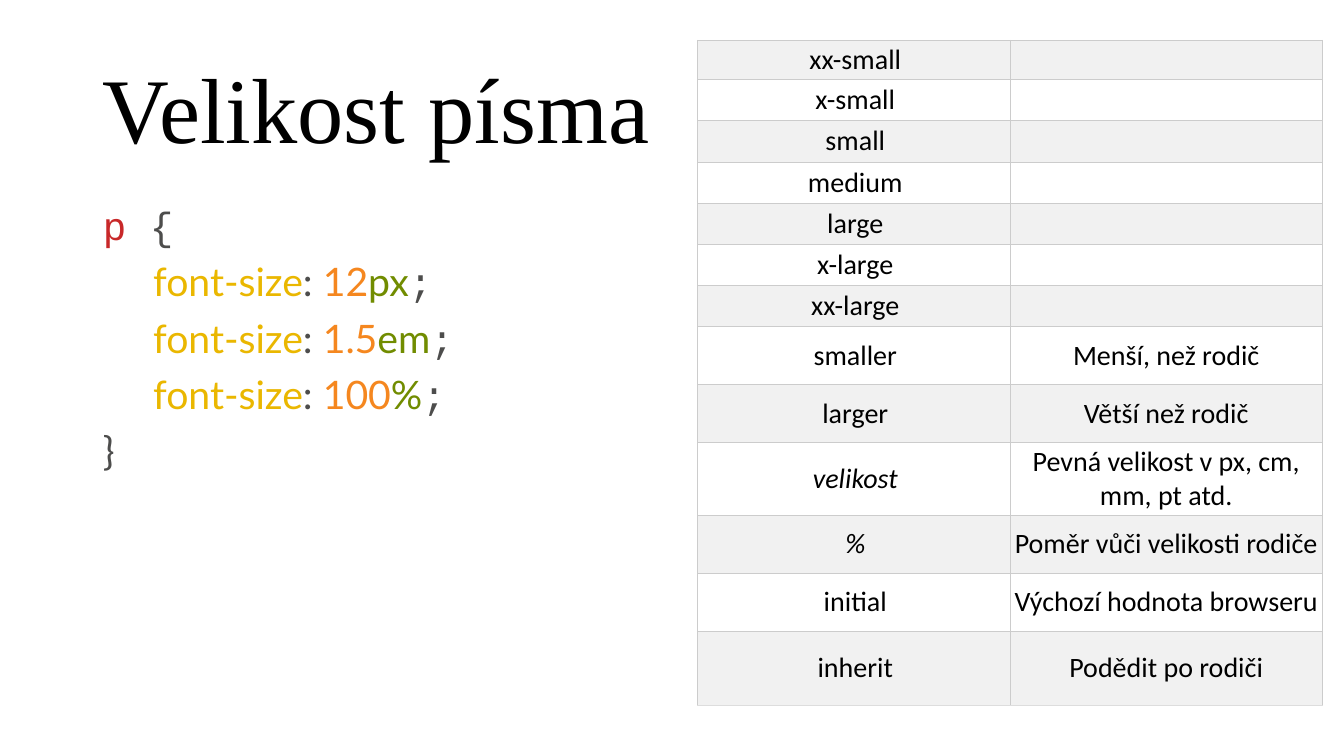
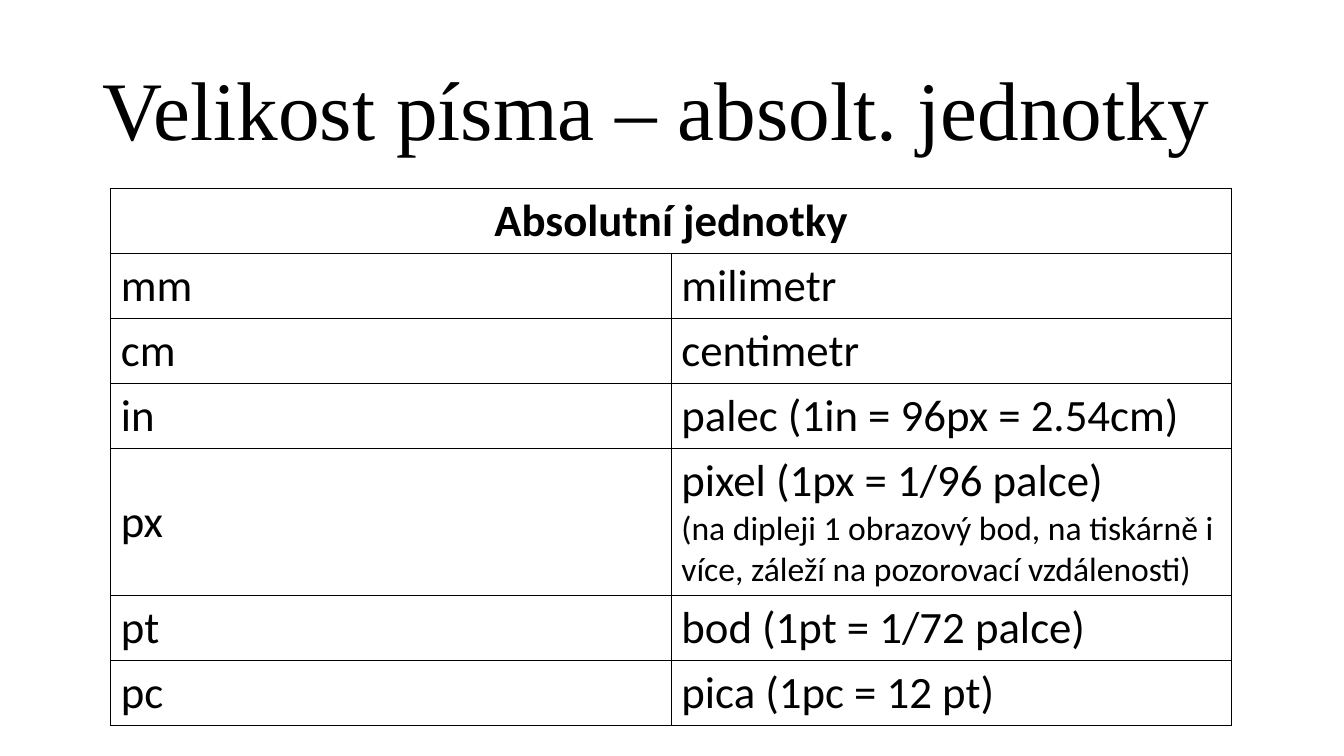
"""Build two slides on CSS font sizes and absolute units."""
from lxml import etree
from pptx import Presentation
from pptx.dml.color import RGBColor
from pptx.enum.text import MSO_ANCHOR, MSO_AUTO_SIZE, PP_ALIGN
from pptx.oxml.ns import qn
from pptx.util import Inches, Pt

LEFT, CENTER = PP_ALIGN.LEFT, PP_ALIGN.CENTER
MIDDLE = MSO_ANCHOR.MIDDLE
NO_FIT = MSO_AUTO_SIZE.NONE

BLACK = RGBColor(0x00, 0x00, 0x00)
WHITE = RGBColor(0xFF, 0xFF, 0xFF)
STRIPE = RGBColor(0xF1, 0xF1, 0xF1)
GRID = RGBColor(0xCC, 0xCC, 0xCC)
GRID_FOOT = RGBColor(0xDD, 0xDD, 0xDD)
RED = RGBColor(0xC8, 0x28, 0x29)
GRAY = RGBColor(0x4D, 0x4D, 0x4C)
YELLOW = RGBColor(0xEA, 0xB7, 0x00)
ORANGE = RGBColor(0xF5, 0x87, 0x1F)
GREEN = RGBColor(0x71, 0x8C, 0x00)

TITLE_FONT, TABLE_FONT = "Times New Roman", "Calibri"
CODE_FONT, VALUE_FONT = "Courier New", "Lato"
TITLE_LAYOUT, CONTENT_LAYOUT = 5, 1

KEYWORDS = ["xx-small", "x-small", "small", "medium", "large", "x-large", "xx-large"]
RELATIVE = [
    ("smaller", "Menší, než rodič"),
    ("larger", "Větší než rodič"),
    ("velikost", "Pevná velikost v px, cm, mm, pt atd."),
    ("%", "Poměr vůči velikosti rodiče"),
    ("initial", "Výchozí hodnota browseru"),
    ("inherit", "Podědit po rodiči"),
]
UNITS = [
    ("Absolutní jednotky", None),
    ("mm", "milimetr"),
    ("cm", "centimetr"),
    ("in", "palec (1in = 96px = 2.54cm)"),
    ("px", "pixel (1px = 1/96 palce)"),
    ("pt", "bod (1pt = 1/72 palce)"),
    ("pc", "pica (1pc = 12 pt)"),
]
PIXEL_NOTE = "(na dipleji 1 obrazový bod, na tiskárně i více, záleží na pozorovací vzdálenosti)"


def write(paragraph, text, font=TABLE_FONT, size=20, color=BLACK, bold=False, italic=False):
    """Add one formatted span of text to a paragraph."""
    span = paragraph.add_run()
    span.text = text
    span.font.name = font
    span.font.size = Pt(size)
    span.font.color.rgb = color
    span.font.bold = bold
    span.font.italic = italic


def draw_border(cell, color, width, foot):
    """Draw the four sides of a cell, the bottom one in the foot colour."""
    properties = cell._tc.get_or_add_tcPr()
    for side in ("lnL", "lnR", "lnT", "lnB"):
        line = etree.SubElement(properties, qn("a:" + side), w=str(Pt(width)))
        fill = etree.SubElement(line, qn("a:solidFill"))
        shade = foot if side == "lnB" else color
        etree.SubElement(fill, qn("a:srgbClr"), val=str(shade))


class Slides:
    """Hold the shared style, the deck and the current page."""

    def __init__(self):
        """Start an empty widescreen deck."""
        self.deck = Presentation()
        self.deck.slide_width = Inches(13.33)
        self.deck.slide_height = Inches(7.5)
        self.page = None

    def across(self, percent):
        """Turn a percentage of the slide width into a length."""
        return round(self.deck.slide_width * percent / 100)

    def down(self, percent):
        """Turn a percentage of the slide height into a length."""
        return round(self.deck.slide_height * percent / 100)

    def place(self, box, left, top, width, height):
        """Move a placeholder to shares of the slide."""
        box.left, box.top = self.across(left), self.down(top)
        box.width, box.height = self.across(width), self.down(height)
        box.text_frame.word_wrap = True
        box.text_frame.auto_size = NO_FIT

    def add_page(self, title, size, layout):
        """Add a page with its title."""
        self.page = self.deck.slides.add_slide(self.deck.slide_layouts[layout])
        box = self.page.shapes.title
        self.place(box, 6.9, 5.33, 86.25, 19.33)
        box.text_frame.vertical_anchor = MIDDLE
        paragraph = box.text_frame.paragraphs[0]
        paragraph.alignment = LEFT
        paragraph.line_spacing = 0.9
        write(paragraph, title, font=TITLE_FONT, size=size)

    def add_code(self, lines):
        """Fill the body placeholder with lines of coloured code."""
        box = self.page.placeholders[1]
        self.place(box, 6.9, 26.67, 86.25, 63.47)
        frame = box.text_frame
        for index, spans in enumerate(lines):
            paragraph = frame.add_paragraph() if index else frame.paragraphs[0]
            properties = paragraph._p.get_or_add_pPr()
            properties.set("marL", "0")
            properties.set("indent", "0")
            etree.SubElement(properties, qn("a:buNone"))
            paragraph.line_spacing = 0.9
            paragraph.space_before = Pt(10 if index else 0)
            for text, font, color in spans:
                write(paragraph, text, font=font, size=28, color=color)

    def add_table(self, left, top, width, heights):
        """Add a plain table of two equal columns."""
        frame = self.page.shapes.add_table(
            len(heights), 2, self.across(left), self.down(top),
            self.across(width), self.down(sum(heights)))
        table = frame.table
        table.first_row = table.horz_banding = False
        for row, height in zip(table.rows, heights):
            row.height = self.down(height)
        return table

    def fill_cell(self, cell, text, align, fill=None, border=BLACK, width=1, foot=None, **style):
        """Format a cell and write its text."""
        draw_border(cell, border, width, foot or border)
        if fill is None:
            cell.fill.background()
        else:
            cell.fill.solid()
            cell.fill.fore_color.rgb = fill
        cell.vertical_anchor = MIDDLE
        paragraph = cell.text_frame.paragraphs[0]
        paragraph.alignment = align
        if text:
            write(paragraph, text, **style)


def add_sizes(slides):
    """Build the page of font size values."""
    slides.add_page("Velikost písma", 66, CONTENT_LAYOUT)
    rules = [
        [("\t", CODE_FONT, GRAY), ("font-size", VALUE_FONT, YELLOW), (": ", VALUE_FONT, GRAY),
         (number, VALUE_FONT, ORANGE), (unit, VALUE_FONT, GREEN), (";", CODE_FONT, GRAY)]
        for number, unit in (("12", "px"), ("1.5", "em"), ("100", "%"))
    ]
    opening = [("p", CODE_FONT, RED), (" {", CODE_FONT, GRAY)]
    slides.add_code([opening, *rules, [("}", VALUE_FONT, GRAY)]])

    rows = [(keyword, "") for keyword in KEYWORDS] + RELATIVE
    heights = [5.2] + [5.45] * 6 + [7.65, 7.65, 9.65, 7.65, 7.65, 9.9]
    table = slides.add_table(51.9, 5.33, 46.5, heights)
    for index, row in enumerate(rows):
        for column, text in enumerate(row):
            cell = table.cell(index, column)
            cell.margin_left = Inches(0.02 if column else 0.05)
            cell.margin_top = cell.margin_right = cell.margin_bottom = Inches(0.02)
            slides.fill_cell(
                cell, text, CENTER, fill=WHITE if index % 2 else STRIPE,
                border=GRID, width=0.6,
                foot=GRID_FOOT if index == len(rows) - 1 else GRID,
                italic=text in ("velikost", "%"))


def add_units(slides):
    """Build the page of absolute units."""
    slides.add_page("Velikost písma – absolt. jednotky", 59.4, TITLE_LAYOUT)
    heights = [19.45 if unit == "px" else 8.6 for unit, _ in UNITS]
    table = slides.add_table(8.25, 24.93, 83.4, heights)
    table.cell(0, 0).merge(table.cell(0, 1))
    for index, row in enumerate(UNITS):
        for column, text in enumerate(row):
            cell = table.cell(index, column)
            heading = index == 0
            slides.fill_cell(cell, text, CENTER if heading else LEFT, size=32, bold=heading)
            if column and row[0] == "px":
                paragraph = cell.text_frame.paragraphs[0]
                paragraph.add_line_break()
                write(paragraph, PIXEL_NOTE, size=24)


def main():
    """Build and save the deck."""
    slides = Slides()
    add_sizes(slides)
    add_units(slides)
    slides.deck.save("out.pptx")


if __name__ == "__main__":
    main()
